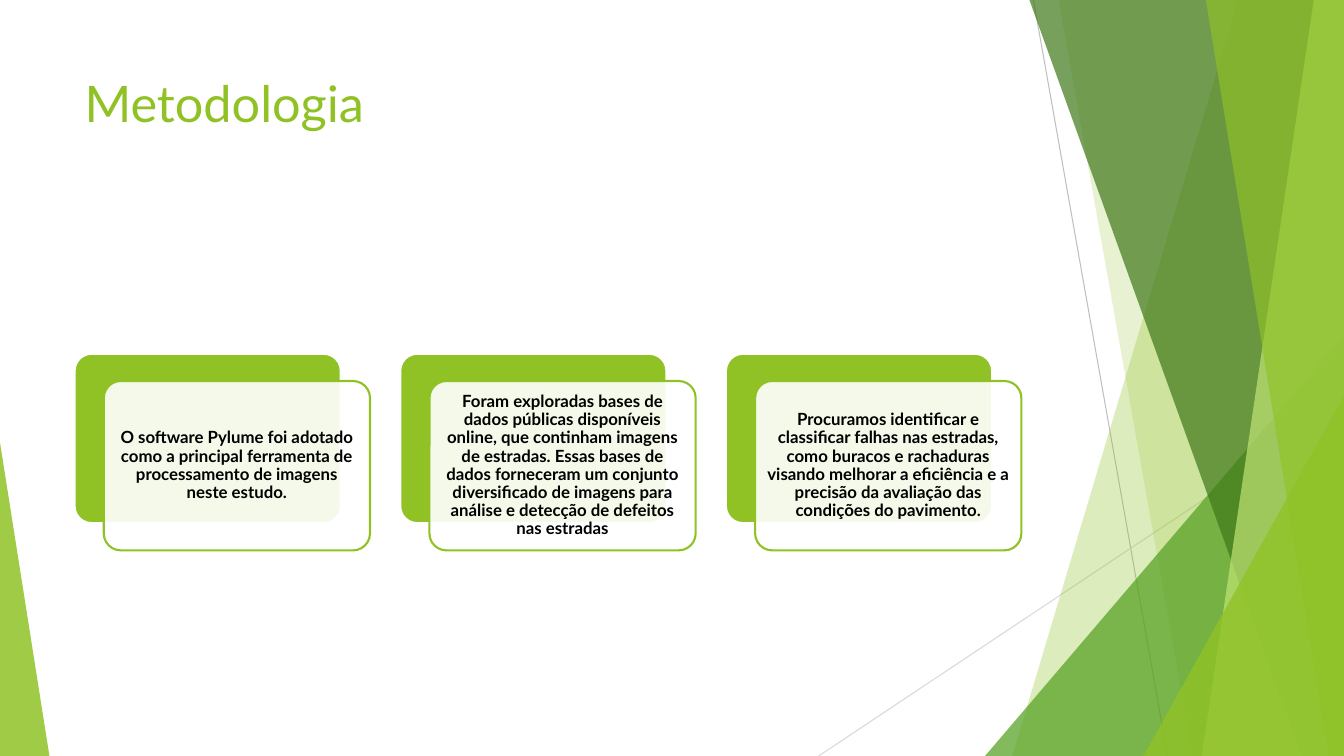
"""Build the "Metodologia" slide: three layered cards beside green facets."""
from lxml import etree
from pptx import Presentation
from pptx.dml.color import RGBColor
from pptx.enum.shapes import MSO_CONNECTOR, MSO_SHAPE
from pptx.enum.text import MSO_ANCHOR, PP_ALIGN
from pptx.oxml.ns import qn
from pptx.util import Inches, Pt

STRAIGHT = MSO_CONNECTOR.STRAIGHT
TRIANGLE = MSO_SHAPE.ISOSCELES_TRIANGLE
ROUNDED = MSO_SHAPE.ROUNDED_RECTANGLE
TOP, MIDDLE = MSO_ANCHOR.TOP, MSO_ANCHOR.MIDDLE
CENTER = PP_ALIGN.CENTER

COLORS = {
    "lime": "90C226", "leaf": "54A021", "forest": "3F7819", "pale": "C0E474",
    "white": "FFFFFF", "black": "000000", "grey": "BFBFBF", "mist": "D9D9D9",
}
FONT = "Lato"
WIDTH, HEIGHT = 13.33, 7.5
MARGIN = 0.74


def paint(shape, color, opacity=100):
    shape.shadow.inherit = False
    shape.fill.solid()
    shape.fill.fore_color.rgb = RGBColor.from_string(COLORS[color])
    if opacity < 100:
        tint = shape.fill._xPr.find(qn("a:solidFill"))[0]
        etree.SubElement(tint, qn("a:alpha"), val=str(opacity * 1000))


def style(paragraph, size, color, bold=False):
    for run in paragraph.runs:
        run.font.name = FONT
        run.font.size = Pt(size)
        run.font.bold = bold
        run.font.color.rgb = RGBColor.from_string(COLORS[color])


prs = Presentation()
prs.slide_width, prs.slide_height = Inches(WIDTH), Inches(HEIGHT)
slide = prs.slides.add_slide(prs.slide_layouts[6])
shapes = slide.shapes

rays = [
    (10.25, 0, 11.58, HEIGHT, "grey"),
    (WIDTH, 4.03, 8.12, HEIGHT, "mist"),
]
for x1, y1, x2, y2, color in rays:
    ray = shapes.add_connector(STRAIGHT, Inches(x1), Inches(y1), Inches(x2), Inches(y2))
    ray.line.color.rgb = RGBColor.from_string(COLORS[color])
    ray.line.width = Pt(0.75)
    etree.SubElement(ray._element.spPr, qn("a:effectLst"))

# Ribbons: top x, bottom x. Peaks: left, right, top y, apex position.
facets = [
    ("ribbon", (12.28, 10.04), "lime", 30),
    ("ribbon", (10.5, 11.83), "lime", 20),
    ("peak", (9.77, WIDTH, 3.33, 1), "leaf", 72),
    ("ribbon", (10.21, 12.91), "forest", 70),
    ("ribbon", (13.03, 11.92), "pale", 70),
    ("ribbon", (11.96, 13.18), "lime", 65),
    ("peak", (11.34, WIDTH, 3.93, 1), "lime", 80),
    ("peak", (0, 0.49, 4.39, 0), "lime", 85),
]
for kind, geometry, color, opacity in facets:
    if kind == "ribbon":
        top_x, bottom_x = geometry
        outline = shapes.build_freeform(Inches(top_x), 0)
        corners = [(WIDTH, 0), (WIDTH, HEIGHT), (bottom_x, HEIGHT)]
        outline.add_line_segments([(Inches(x), Inches(y)) for x, y in corners])
        facet = outline.convert_to_shape()
    else:
        left, right, top, apex = geometry
        facet = shapes.add_shape(TRIANGLE, Inches(left), Inches(top),
                                 Inches(right - left), Inches(HEIGHT - top))
        facet.adjustments[0] = apex
    paint(facet, color, opacity)
    facet.line.fill.background()

title = shapes.add_textbox(Inches(MARGIN), Inches(0.67), Inches(9.4), Inches(1.44))
title.text_frame.word_wrap = True
title.text_frame.vertical_anchor = TOP
title.text_frame.text = "Metodologia"
style(title.text_frame.paragraphs[0], 36, "lime")

CARD_WIDTH, CARD_HEIGHT = 2.64, 1.68
CARD_TOP, CARD_PITCH = 3.51, 3.23
SHIFT_X, SHIFT_Y = 0.29, 0.27
INSET = Inches(0.05)
steps = [
    "O software Pylume foi adotado como a principal ferramenta de processamento "
    "de imagens neste estudo.",
    "Foram exploradas bases de dados públicas disponíveis online, que continham "
    "imagens de estradas. Essas bases de dados forneceram um conjunto diversificado "
    "de imagens para análise e detecção de defeitos nas estradas",
    "Procuramos identificar e classificar falhas nas estradas, como buracos e "
    "rachaduras visando melhorar a eficiência e a precisão da avaliação das "
    "condições do pavimento.",
]
layers = [(0, 0, "lime", 100, "white"), (SHIFT_X, SHIFT_Y, "white", 90, "lime")]
for column, step in enumerate(steps):
    for dx, dy, fill, opacity, border in layers:
        card = shapes.add_shape(ROUNDED, Inches(MARGIN + column * CARD_PITCH + dx),
                                Inches(CARD_TOP + dy), Inches(CARD_WIDTH), Inches(CARD_HEIGHT))
        card.adjustments[0] = 0.1
        paint(card, fill, opacity)
        card.line.color.rgb = RGBColor.from_string(COLORS[border])
        card.line.width = Pt(1.5)
    frame = card.text_frame
    frame.word_wrap = True
    frame.vertical_anchor = MIDDLE
    frame.margin_left = frame.margin_right = INSET
    frame.margin_top = frame.margin_bottom = INSET
    frame.text = step
    frame.paragraphs[0].alignment = CENTER
    frame.paragraphs[0].line_spacing = 0.9
    style(frame.paragraphs[0], 12, "black", bold=True)

prs.save("out.pptx")
